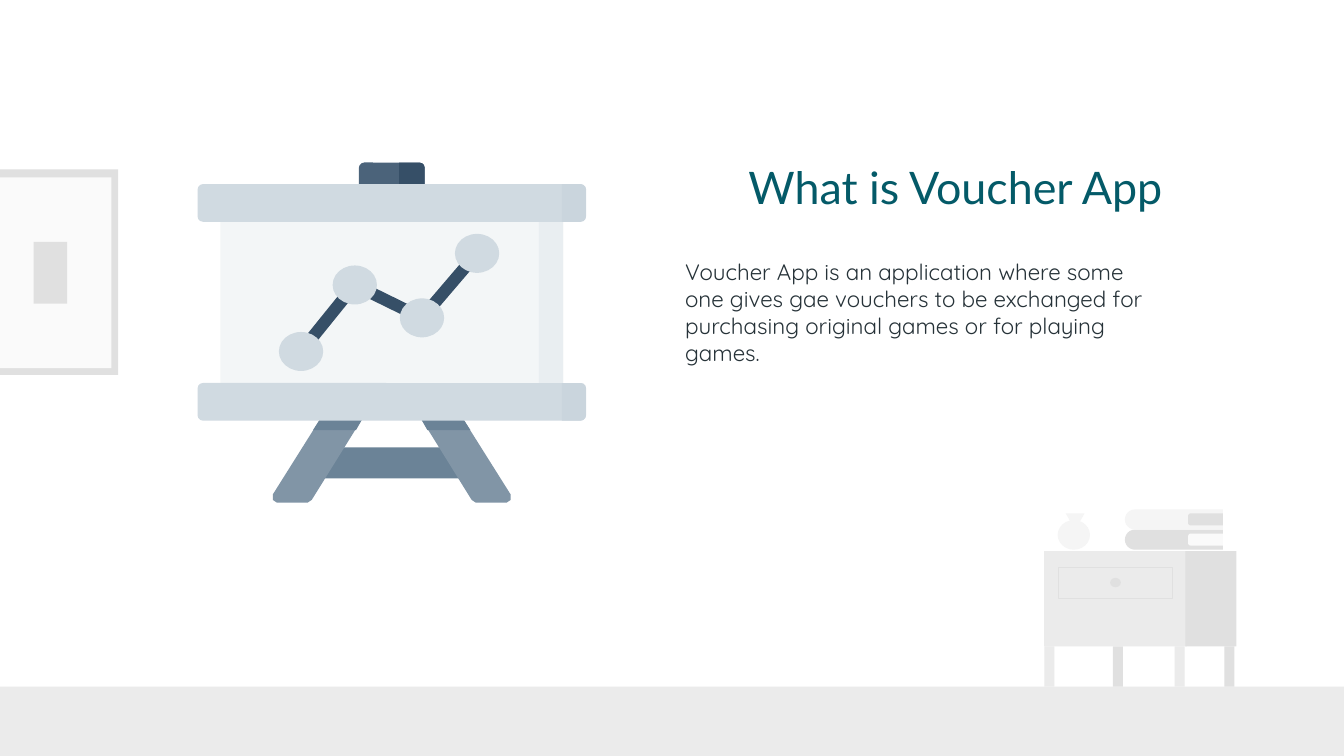
from lxml.etree import SubElement
from pptx import Presentation
from pptx.dml.color import RGBColor
from pptx.enum.shapes import MSO_CONNECTOR, MSO_SHAPE
from pptx.enum.text import MSO_ANCHOR, PP_ALIGN
from pptx.oxml.ns import qn
from pptx.util import Inches, Pt

COLS = 1000
PALE, GREY, LIGHT, NEAR_WHITE = "EBEBEB", "E0E0E0", "F5F5F5", "FAFAFA"
NAVY, SLATE, STEEL, MIST, MIST_DARK = "364F67", "6B8397", "8195A6", "D0DAE1", "CAD5DD"


def rgb(value):
    return RGBColor.from_string(value)


class Deck:
    title = {"size": Pt(24), "name": "Lato", "color": "045A68"}
    body = {"size": Pt(12), "name": "Quicksand", "color": "263238"}

    def __init__(self):
        self.prs = Presentation()
        self.prs.slide_width = Inches(10)
        self.prs.slide_height = Inches(10) * 9 // 16
        self.cell = self.prs.slide_width // COLS
        self.s = self.prs.slides.add_slide(self.prs.slide_layouts[6])

    def grid(self, *units):
        return [round(u * self.cell) for u in units]

    def paint(self, sp, color):
        sp.shadow.inherit = False
        sp.fill.solid()
        sp.fill.fore_color.rgb = rgb(color)
        sp.line.fill.background()
        return sp

    def shape(self, kind, color, *box):
        return self.paint(self.s.shapes.add_shape(kind, *self.grid(*box)), color)

    def rect(self, color, *box):
        return self.shape(MSO_SHAPE.RECTANGLE, color, *box)

    def oval(self, color, *box):
        return self.shape(MSO_SHAPE.OVAL, color, *box)

    def rounded(self, color, radius, *box):
        sp = self.shape(MSO_SHAPE.ROUNDED_RECTANGLE, color, *box)
        sp.adjustments[0] = radius / min(box[2:])

    def cap(self, color, radius, angle, x, y, w, h):
        box = x + (w - h) / 2, y + (h - w) / 2, h, w
        sp = self.shape(MSO_SHAPE.ROUND_2_SAME_RECTANGLE, color, *box)
        sp.rotation = angle
        sp.adjustments[0] = radius / min(w, h)

    def frame(self, color, weight, *box):
        sp = self.rect(color, *box)
        sp.fill.background()
        sp.line.color.rgb = rgb(color)
        sp.line.width = Pt(weight)

    def polygon(self, color, points):
        fb = self.s.shapes.build_freeform(*points[0], scale=self.cell)
        fb.add_line_segments(points[1:], close=True)
        self.paint(fb.convert_to_shape(), color)

    def line(self, color, weight, start, end):
        cx = self.s.shapes.add_connector(MSO_CONNECTOR.STRAIGHT, *self.grid(*start, *end))
        cx.line.color.rgb = rgb(color)
        cx.line.width = Pt(weight)
        SubElement(cx._element.spPr, qn("a:effectLst"))

    def text(self, content, style, anchor, bottom, *box):
        tf = self.s.shapes.add_textbox(*self.grid(*box)).text_frame
        inset = Inches(0.1)
        frame = {"word_wrap": True, "vertical_anchor": anchor, "margin_left": inset,
                 "margin_right": inset, "margin_top": inset, "margin_bottom": Inches(bottom)}
        for key, value in frame.items():
            setattr(tf, key, value)
        p = tf.paragraphs[0]
        p.alignment = PP_ALIGN.LEFT
        r = p.add_run()
        r.text = content
        for key, value in style.items():
            if key == "color":
                r.font.color.rgb = rgb(value)
            else:
                setattr(r.font, key, value)


def draw_room(deck):
    deck.rect(PALE, 0, 511, COLS, 51.5)
    deck.rect(GREY, 0, 126, 88, 153)
    deck.rect(NEAR_WHITE, 0, 132, 83, 142)
    deck.rect(GREY, 25, 180, 25, 46)

    for color, x in ((PALE, 777), (PALE, 874), (GREY, 828), (GREY, 911)):
        deck.rect(color, x, 481, 7.5, 30)
    deck.rect(PALE, 777, 410, 106, 71)
    deck.rect(GREY, 882, 410, 38, 71)
    deck.frame(GREY, 0.25, 787, 422, 85, 23)
    deck.oval(GREY, 826, 430, 8, 7)

    deck.polygon(LIGHT, [(793, 382), (807, 382), (803, 389), (797, 389)])
    deck.oval(LIGHT, 787, 387, 24, 22)
    for y, cover, label in ((394, GREY, NEAR_WHITE), (379, LIGHT, GREY)):
        deck.cap(cover, 7.5, 270, 837, y, 73, 15)
        deck.cap(label, 2, 270, 884, y + 3, 26, 9)


def draw_board(deck):
    left, width, right = 147, 289, 436
    deck.rounded("4B637A", 4, 267, 121, 49, 23)
    deck.cap(NAVY, 4, 90, 297, 121, 19, 23)
    deck.rect("F3F6F7", 164, 157, 255, 136)
    deck.rect("E9EEF1", 401, 157, 18, 136)

    deck.rect(SLATE, 240, 333, 103, 23)
    leg = [(242, 306), (273, 306), (232, 372), (229, 374), (206, 374), (203, 372), (203, 368)]
    shade = [(242, 306), (273, 306), (265, 320), (233, 320)]
    for color, points in ((STEEL, leg), (SLATE, shade)):
        deck.polygon(color, points)
        deck.polygon(color, [(left + right - x, y) for x, y in points])

    for y in (137, 285):
        deck.rounded(MIST, 4, left, y, width, 28)
        deck.cap(MIST_DARK, 4, 90, right - 18, y, 18, 28)

    dots = [(224, 261.5), (264, 212), (314, 236.5), (355, 188.5)]
    for start, end in zip(dots, dots[1:]):
        deck.line(NAVY, 6.5, start, end)
    for x, y in dots:
        deck.oval(MIST, x - 16.5, y - 14.5, 33, 29)


def main():
    deck = Deck()
    draw_room(deck)
    deck.text("What is Voucher App", deck.title, MSO_ANCHOR.TOP, 0.1, 547, 109, 368, 44)
    deck.text("Voucher App is an application where some one gives gae vouchers to be "
              "exchanged for purchasing original games or for playing games.",
              deck.body, MSO_ANCHOR.BOTTOM, 0.5, 500, 144, 367, 178)
    draw_board(deck)
    deck.prs.save("out.pptx")


if __name__ == "__main__":
    main()
